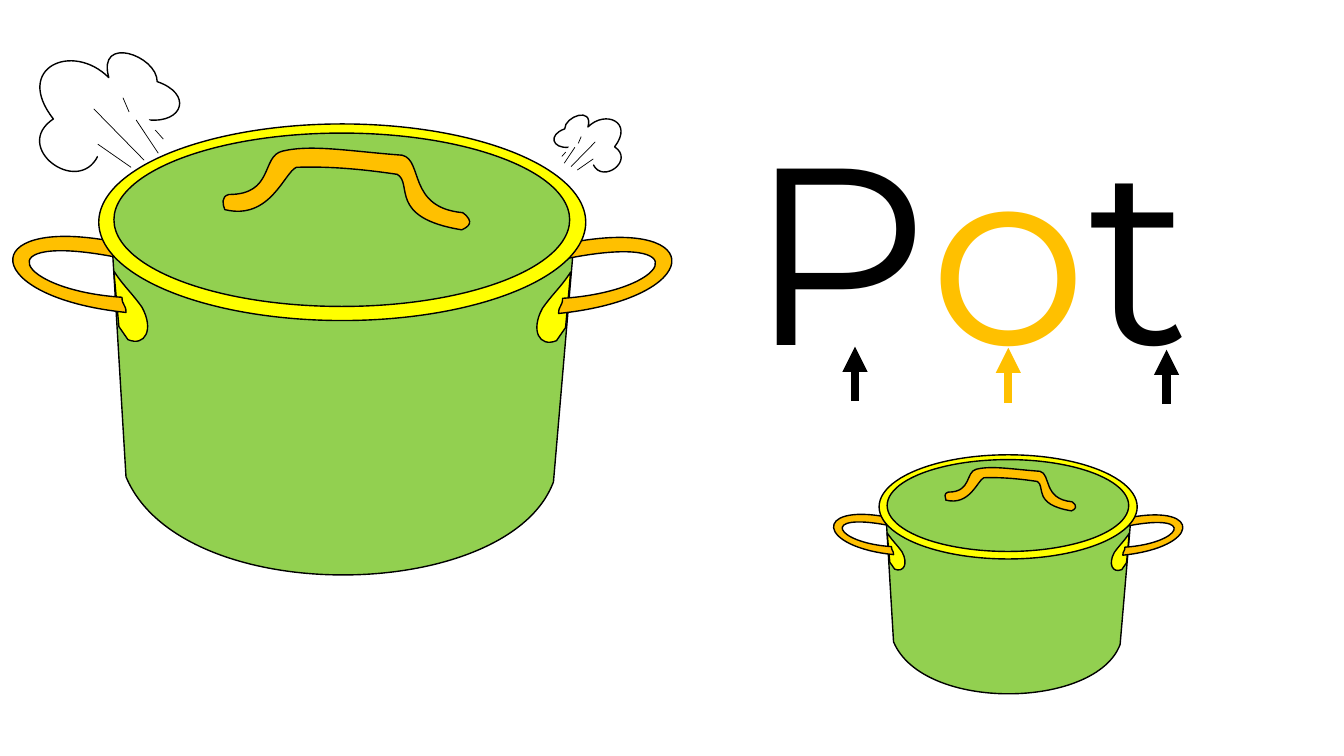
from dataclasses import dataclass

from lxml import etree
from pptx import Presentation
from pptx.dml.color import RGBColor
from pptx.enum.shapes import MSO_CONNECTOR, MSO_SHAPE
from pptx.enum.text import MSO_AUTO_SIZE
from pptx.oxml.ns import qn
from pptx.shapes.autoshape import Shape
from pptx.shapes.connector import Connector
from pptx.shapes.shapetree import GroupShapes, SlideShapes
from pptx.slide import Slide
from pptx.util import Inches, Pt

ELLIPSE = MSO_SHAPE.OVAL
STRAIGHT = MSO_CONNECTOR.STRAIGHT
FIT_SHAPE = MSO_AUTO_SIZE.SHAPE_TO_FIT_TEXT

BLACK = RGBColor(0x00, 0x00, 0x00)
WHITE = RGBColor(0xFF, 0xFF, 0xFF)
GREEN = RGBColor(0x92, 0xD0, 0x50)
YELLOW = RGBColor(0xFF, 0xFF, 0x00)
ORANGE = RGBColor(0xFF, 0xC0, 0x00)

FONT = "Montserrat"
CURVE_STEPS = 20
POT_AXIS_SUM = 6.79  # left x + right x of mirrored pot parts

Point = tuple[float, float]
Segment = tuple[float, ...]  # 2 numbers: line end; 6 numbers: cubic curve


@dataclass(frozen=True)
class Placement:
    """Maps drawing coordinates to slide inches."""
    left: float = 0
    top: float = 0
    scale_x: float = 1
    scale_y: float = 1

    def point(self, x: float, y: float) -> Point:
        return self.left + x * self.scale_x, self.top + y * self.scale_y


@dataclass(frozen=True)
class Outline:
    fill: RGBColor
    start: Point
    segments: tuple[Segment, ...]

    def mirrored(self) -> "Outline":
        def flip(values: Segment) -> Segment:
            return tuple(round(v - 0.01 if i % 2 else POT_AXIS_SUM - v, 2)
                         for i, v in enumerate(values))
        return Outline(self.fill, flip(self.start), tuple(map(flip, self.segments)))

    def points_along(self) -> list[Point]:
        result = [self.start]
        for segment in self.segments:
            if len(segment) == 2:
                result.append(segment)
                continue
            x0, y0 = result[-1]
            x1, y1, x2, y2, x3, y3 = segment
            for step in range(1, CURVE_STEPS + 1):
                t = step / CURVE_STEPS
                a, b, c, d = (1 - t) ** 3, 3 * t * (1 - t) ** 2, 3 * t * t * (1 - t), t ** 3
                result.append((a * x0 + b * x1 + c * x2 + d * x3,
                               a * y0 + b * y1 + c * y2 + d * y3))
        return result


@dataclass(frozen=True)
class Oval:
    fill: RGBColor
    left: float
    top: float
    width: float
    height: float


@dataclass(frozen=True)
class Stroke:
    begin: Point
    end: Point
    color: RGBColor = BLACK
    width: float = 0.5


@dataclass(frozen=True)
class Letter:
    text: str
    color: RGBColor
    arrow_x: float
    arrow_tail: float
    arrow_tip: float


Part = Outline | Oval | Stroke

# Pot parts, from back to front
BRACKET = Outline(YELLOW, (5.66, 2.7), (
    (5.61, 3.25), (5.52, 3.38), (5.35, 3.45, 5.26, 3.28, 5.38, 3.06),
    (5.47, 2.93, 5.56, 2.85, 5.64, 2.73)))
HANDLE = Outline(ORANGE, (5.65, 2.56), (
    (5.66, 2.48, 5.69, 2.49, 5.7, 2.4), (7.03, 2.16, 6.99, 2.96, 5.54, 3.11),
    (5.54, 3.03, 5.58, 3.04, 5.58, 2.96), (6.64, 2.89, 6.94, 2.31, 5.65, 2.56)))
POT: list[Part] = [
    Outline(GREEN, (1.09, 2.05), (
        (5.72, 2.08), (5.49, 4.78), (5.04, 5.99, 1.8, 6.05, 1.25, 4.73))),
    BRACKET, HANDLE, BRACKET.mirrored(), HANDLE.mirrored(),
    Oval(YELLOW, 0.98, 1.23, 4.83, 1.95),
    Oval(GREEN, 1.13, 1.32, 4.52, 1.72),
    Outline(ORANGE, (2.27, 1.93), (
        (2.72, 1.93, 2.59, 1.55, 2.8, 1.5), (3.09, 1.43, 3.46, 1.5, 3.99, 1.54),
        (4.2, 1.59, 4.04, 2.06, 4.59, 2.11), (4.71, 2.2, 4.65, 2.25, 4.58, 2.28),
        (3.84, 2.16, 4.1, 1.82, 3.94, 1.73), (3.54, 1.67, 3.22, 1.65, 2.94, 1.66),
        (2.82, 1.71, 2.68, 2.19, 2.23, 2.08), (2.21, 2.03, 2.19, 1.95, 2.27, 1.93))),
]

# Steam cloud; the white stroke opens its lower edge
STEAM: list[Part] = [
    Outline(WHITE, (0.53, 1.18), (
        (0.13, 0.67, 0.72, 0.41, 1.08, 0.77), (0.96, 0.34, 1.56, 0.55, 1.56, 0.81),
        (1.91, 0.93, 1.82, 1.22, 1.48, 1.19), (0.97, 1.55),
        (0.77, 1.95, 0.11, 1.46, 0.53, 1.18))),
    Stroke((1.22, 0.97), (1.28, 1.11)),
    Stroke((0.97, 1.55), (1.48, 1.19), WHITE, 4.5),
    Stroke((0.93, 1.08), (1.43, 1.59)),
    Stroke((0.97, 1.43), (1.3, 1.66)),
    Stroke((1.54, 1.29), (1.62, 1.38)),
    Stroke((1.35, 1.19), (1.57, 1.52)),
]

DRAWINGS: list[tuple[list[Part], Placement]] = [
    (POT, Placement()),
    (STEAM, Placement()),
    (STEAM, Placement(6.35, 0.89, -0.48, 0.48)),
    (POT, Placement(8.2, 3.86, 0.53, 0.53)),
]

LETTERS = [Letter("P", BLACK, 8.48, 3.98, 3.44),
           Letter("o", ORANGE, 10, 4, 3.45),
           Letter("t", BLACK, 11.57, 4.01, 3.47)]


def draw_stroke(shapes: SlideShapes | GroupShapes, stroke: Stroke,
                placement: Placement) -> Connector:
    ends = placement.point(*stroke.begin) + placement.point(*stroke.end)
    line = shapes.add_connector(STRAIGHT, *map(Inches, ends))
    line.line.color.rgb = stroke.color
    line.line.width = Pt(stroke.width)
    etree.SubElement(line._element.spPr, qn("a:effectLst"))
    return line


def draw_outline(shapes: GroupShapes, outline: Outline, placement: Placement) -> Shape:
    xs, ys = zip(*(placement.point(*point) for point in outline.points_along()))
    left, right, top, bottom = map(Inches, (min(xs), max(xs), min(ys), max(ys)))
    builder = shapes.build_freeform(left, top)
    builder.add_line_segments([(right, top), (right, bottom), (left, bottom)])
    shape = builder.convert_to_shape()
    # Put the lines and curves inside the frame
    track = shape._element.spPr.find(".//" + qn("a:path"))
    del track[:]
    for index, segment in enumerate((outline.start, *outline.segments)):
        tag = "a:moveTo" if index == 0 else "a:lnTo" if len(segment) == 2 else "a:cubicBezTo"
        step = etree.SubElement(track, qn(tag))
        for point in zip(segment[::2], segment[1::2]):
            x, y = map(Inches, placement.point(*point))
            etree.SubElement(step, qn("a:pt"), x=str(x - left), y=str(y - top))
    etree.SubElement(track, qn("a:close"))
    return shape


def draw_part(shapes: GroupShapes, part: Part, placement: Placement) -> None:
    if isinstance(part, Stroke):
        draw_stroke(shapes, part, placement)
        return
    if isinstance(part, Oval):
        corner = placement.point(part.left, part.top)
        size = part.width * placement.scale_x, part.height * placement.scale_y
        shape = shapes.add_shape(ELLIPSE, *map(Inches, corner + size))
    else:
        shape = draw_outline(shapes, part, placement)
    shape.shadow.inherit = False
    shape.fill.solid()
    shape.fill.fore_color.rgb = part.fill
    shape.line.color.rgb = BLACK
    shape.line.width = Pt(1)


def draw_word(page: Slide) -> None:
    box = page.shapes.add_textbox(Inches(7.33), Inches(0.88), Inches(5.54), Inches(3.13))
    box.text_frame.word_wrap = True
    box.text_frame.auto_size = FIT_SHAPE
    para = box.text_frame.paragraphs[0]
    for letter in LETTERS:
        span = para.add_run()
        span.text = letter.text
        span.font.name, span.font.size = FONT, Pt(180)
        span.font.color.rgb = letter.color


def draw_arrow(page: Slide, letter: Letter) -> None:
    stroke = Stroke((letter.arrow_x, letter.arrow_tail),
                    (letter.arrow_x, letter.arrow_tip), letter.color, 6)
    arrow = draw_stroke(page.shapes, stroke, Placement())
    etree.SubElement(arrow.line._get_or_add_ln(), qn("a:tailEnd"), type="triangle")


def main() -> None:
    deck = Presentation()
    deck.slide_width, deck.slide_height = Inches(13.33), Inches(7.5)
    page = deck.slides.add_slide(deck.slide_layouts[6])
    draw_word(page)
    for letter in LETTERS:
        draw_arrow(page, letter)
    for parts, placement in DRAWINGS:
        group = page.shapes.add_group_shape()
        for part in parts:
            draw_part(group.shapes, part, placement)
    deck.save("out.pptx")


if __name__ == "__main__":
    main()
